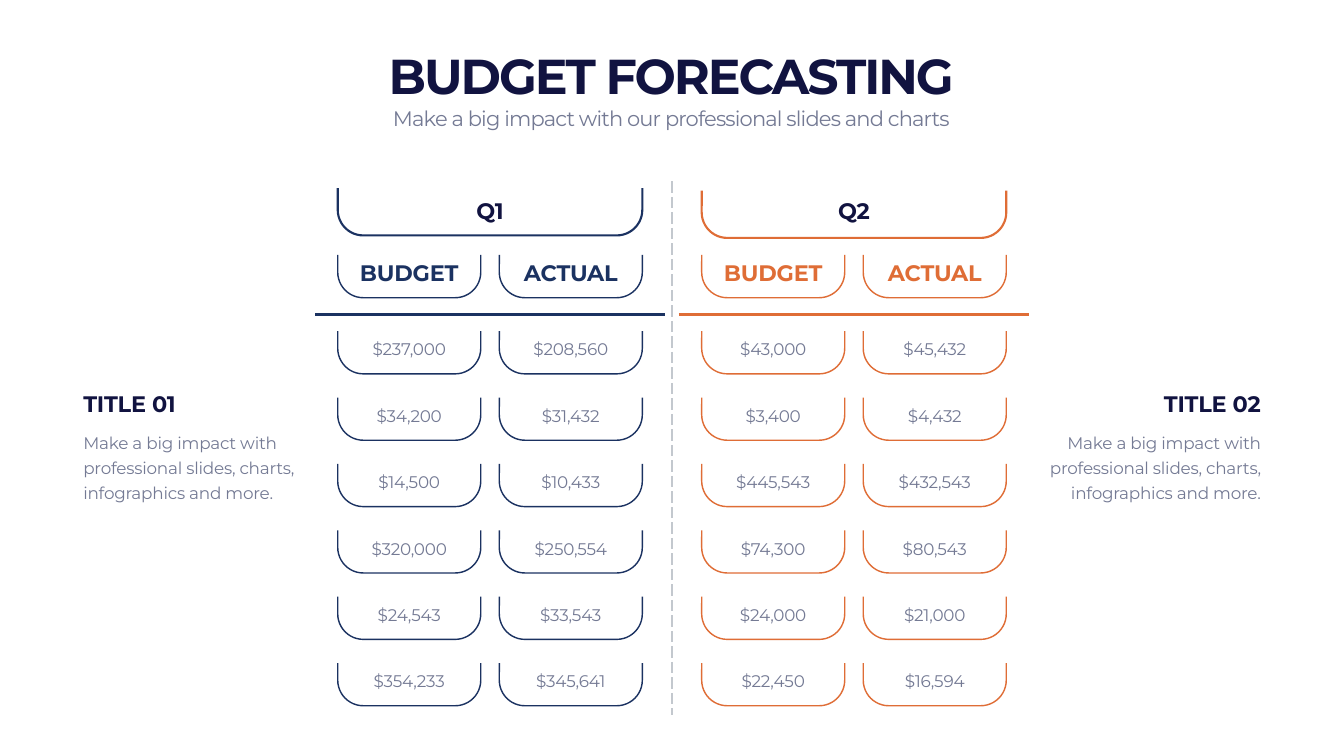
import pptx
import pptx.dml.color
import pptx.enum.dml
import pptx.enum.shapes
import pptx.enum.text
import pptx.oxml
import pptx.oxml.ns
import pptx.util

HUES = {"navy": "1B3261", "rust": "DF6D36", "ink": "111340",
        "grey": "747A94", "dash": "C3C8CE"}
ALIGN = pptx.enum.text.PP_ALIGN
ANCHOR = pptx.enum.text.MSO_ANCHOR


def tint(name):
    """Return the named colour."""
    return pptx.dml.color.RGBColor.from_string(HUES[name])


class Board:
    """Style and current slide; lengths are percent of its width and height."""

    face = "Montserrat"

    def __init__(self, deck):
        """Add a title-only slide to the deck."""
        self.wide, self.high = deck.slide_width, deck.slide_height
        self.slide = deck.slides.add_slide(deck.slide_layouts[5])
        self.shapes = self.slide.shapes

    def x(self, share):
        """Turn a share of the width into a length."""
        return pptx.util.Emu(round(self.wide * share / 100))

    def y(self, share):
        """Turn a share of the height into a length."""
        return pptx.util.Emu(round(self.high * share / 100))

    def label(self, shape, text, size, hue, bold=False, align=ALIGN.CENTER,
              low=False, lead=None, track=-0.3):
        """Fill a shape with one styled paragraph."""
        frame = shape.text_frame
        frame.word_wrap = True
        frame.auto_size = pptx.enum.text.MSO_AUTO_SIZE.SHAPE_TO_FIT_TEXT
        frame.vertical_anchor = ANCHOR.BOTTOM if low else ANCHOR.TOP
        para = frame.paragraphs[0]
        run = para.add_run()
        run.text = text
        run._r.get_or_add_rPr().set("spc", str(round(track * 100)))
        para.alignment = align
        if lead:
            para.line_spacing = pptx.util.Pt(lead)
        font = para.font
        font.name, font.size, font.bold = self.face, pptx.util.Pt(size), bold
        font.color.rgb = tint(hue)

    def title(self, text, left, top, width, height):
        """Place and fill the title placeholder."""
        shape = self.shapes.title
        shape.left, shape.top = self.x(left), self.y(top)
        shape.width, shape.height = self.x(width), self.y(height)
        self.label(shape, text, 70, "ink", True, low=True, lead=94, track=-2.9)

    def text(self, text, left, top, width, height, size, hue, **style):
        """Add a text box."""
        box = self.shapes.add_textbox(self.x(left), self.y(top),
                                      self.x(width), self.y(height))
        self.label(box, text, size, hue, **style)

    def head(self, text, left, top, width, hue="ink", align=ALIGN.CENTER):
        """Add a bold one-line heading."""
        self.text(text, left, top, width, 4.27, 32, hue, bold=True,
                  align=align, low=True)

    def note(self, text, left, top, width, height, align=ALIGN.CENTER):
        """Add grey running text."""
        self.text(text, left, top, width, height, 24, "grey",
                  align=align, lead=36)

    def line(self, x1, y1, x2, y2, hue, weight, dash=None):
        """Add a straight line."""
        rule = self.shapes.add_connector(
            pptx.enum.shapes.MSO_CONNECTOR.STRAIGHT,
            self.x(x1), self.y(y1), self.x(x2), self.y(y2))
        rule.line.color.rgb = tint(hue)
        rule.line.width = pptx.util.Pt(weight)
        if dash:
            rule.line.dash_style = dash
        rule._element.spPr.append(pptx.oxml.parse_xml(
            "<a:effectLst %s/>" % pptx.oxml.ns.nsdecls("a")))

    def cup(self, left, top, width, height, hue, weight):
        """Add an outline open at the top with two round lower corners."""
        x, y = self.x(left), self.y(top)
        w, h, r = self.x(width), self.y(height), self.x(1.9)
        pen = self.shapes.build_freeform(x + w, y)
        pen.add_line_segments([(x + w, y + h - r), (x + w - r, y + h),
                               (x + r, y + h), (x, y + h - r), (x, y)],
                              close=False)
        shape = pen.convert_to_shape()
        sides = list(shape._element.iter(pptx.oxml.ns.qn("a:lnTo")))
        for side, start in ((sides[1], 0), (sides[3], 5400000)):
            arc = pptx.oxml.parse_xml(
                '<a:arcTo %s wR="%d" hR="%d" stAng="%d" swAng="5400000"/>'
                % (pptx.oxml.ns.nsdecls("a"), r, r, start))
            side.getparent().replace(side, arc)
        shape.shadow.inherit = False
        shape.fill.background()
        shape.line.color.rgb = tint(hue)
        shape.line.width = pptx.util.Pt(weight)


QUARTERS = [
    ("Q1", "navy", 25.13, 24.87, {
        "BUDGET": ["$237,000", "$34,200", "$14,500",
                   "$320,000", "$24,543", "$354,233"],
        "ACTUAL": ["$208,560", "$31,432", "$10,433",
                   "$250,554", "$33,543", "$345,641"]}),
    ("Q2", "rust", 52.21, 25.2, {
        "BUDGET": ["$43,000", "$3,400", "$445,543",
                   "$74,300", "$24,000", "$22,450"],
        "ACTUAL": ["$45,432", "$4,432", "$432,543",
                   "$80,543", "$21,000", "$16,594"]}),
]
BLURB = ("Make a big impact with professional slides, charts, "
         "infographics and more.")
CELL, TALL = 10.64, 5.65
STEP, PITCH = 12.02, 8.78
PAD = 0.73


def table(board, name, hue, left, top, data):
    """Draw one quarter: its header, two columns and the rule."""
    board.cup(left, top, STEP + CELL, 6.27, hue, 3)
    board.head(name, left + 2.48, 25.63, 17.7)
    board.line(left - 1.69, 41.6, left + 24.35, 41.6, hue, 3)
    for col, (label, sums) in enumerate(data.items()):
        x = left + col * STEP
        board.cup(x, 33.73, CELL, TALL, hue, 2)
        board.head(label, x + PAD, 33.87, CELL - 2 * PAD, hue)
        for row, value in enumerate(sums):
            y = 43.8 + row * PITCH
            board.cup(x, y, CELL, TALL, hue, 2)
            board.note(value, x + PAD, y + 0.07, CELL - 2 * PAD, 3.73)


def main():
    """Build and save the slide."""
    deck = pptx.Presentation()
    deck.slide_width = pptx.util.Inches(26.66)
    deck.slide_height = pptx.util.Inches(15)
    board = Board(deck)
    board.title("BUDGET FORECASTING", 6.19, 4.93, 87.51, 9.2)
    board.text("Make a big impact with our professional slides and charts",
               6.19, 13.67, 87.51, 4.07, 30, "grey", track=-1.2)
    for quarter in QUARTERS:
        table(board, *quarter)
    board.line(50, 24, 50, 94.6, "dash", 2,
               pptx.enum.dml.MSO_LINE.LONG_DASH)
    for label, left, align in (("TITLE 01", 5.83, ALIGN.LEFT),
                               ("TITLE 02", 76.48, ALIGN.RIGHT)):
        board.head(label, left, 51.27, 17.7, align=align)
        board.note(BLURB, left, 56.23, 17.7, 10.47, align)
    deck.save("out.pptx")


main()
